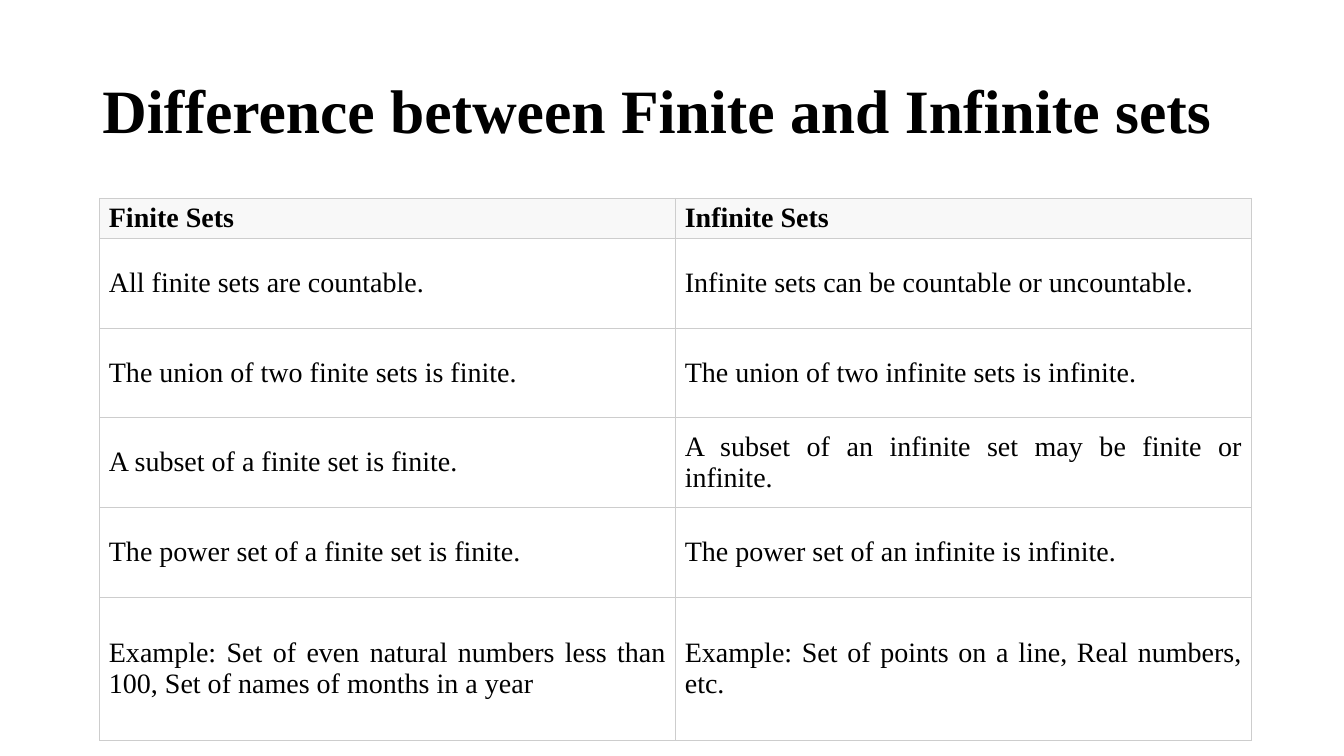
from lxml.etree import SubElement
from pptx import Presentation
from pptx.dml.color import RGBColor
from pptx.enum.text import MSO_ANCHOR as Anchor, MSO_AUTO_SIZE as AutoSize, PP_ALIGN as Align
from pptx.oxml.ns import qn
from pptx.util import Pt

COLORS = {"text": "000000", "page": "FFFFFF", "header": "F8F8F8", "border": "CDCDCD"}
FONT = "Times New Roman"
TITLE = "Difference between Finite and Infinite sets"

# Header first, then one comparison per row
COMPARISON = [
    ("Finite Sets", "Infinite Sets"),
    ("All finite sets are countable.", "Infinite sets can be countable or uncountable."),
    ("The union of two finite sets is finite.", "The union of two infinite sets is infinite."),
    ("A subset of a finite set is finite.",
     "A subset of an infinite set may be finite or infinite."),
    ("The power set of a finite set is finite.", "The power set of an infinite is infinite."),
    ("Example: Set of even natural numbers less than 100, Set of names of months in a year",
     "Example: Set of points on a line, Real numbers, etc."),
]
ROW_HEIGHTS = [28.4] + [64] * 4 + [102.3]
COLUMN_WIDTH = 411.4


def color(name):
    return RGBColor.from_string(COLORS[name])


def write(frame, text, size=20, bold=False, align=Align.LEFT, spacing=1.0):
    para = frame.paragraphs[0]
    para.alignment = align
    para.line_spacing = spacing
    span = para.add_run()
    span.text = text
    span.font.name = FONT
    span.font.size = Pt(size)
    span.font.bold = bold
    span.font.color.rgb = color("text")


def add_borders(cell, width=0.5):
    properties = cell._tc.get_or_add_tcPr()
    for position, side in enumerate(("lnL", "lnR", "lnT", "lnB")):
        line = SubElement(properties, qn(f"a:{side}"), w=str(Pt(width)))
        properties.insert(position, line)  # borders come before the fill
        fill = SubElement(line, qn("a:solidFill"))
        SubElement(fill, qn("a:srgbClr"), val=COLORS["border"])


def add_title(page, text):
    title = page.shapes.title
    title.left, title.top, title.width, title.height = Pt(66), Pt(28.75), Pt(828), Pt(104.4)
    frame = title.text_frame
    frame.word_wrap = True
    frame.auto_size = AutoSize.NONE
    frame.vertical_anchor = Anchor.MIDDLE
    write(frame, text, size=44, bold=True, spacing=0.9)


def fill_cell(cell, text, header):
    cell.margin_left = cell.margin_right = Pt(6.7)
    cell.margin_top = cell.margin_bottom = Pt(3.3)
    cell.vertical_anchor = Anchor.MIDDLE
    if header:
        cell.fill.solid()
        cell.fill.fore_color.rgb = color("header")
    else:
        cell.fill.background()
    add_borders(cell)
    write(cell.text_frame, text, bold=header, align=Align.JUSTIFY)


def add_comparison(page, rows):
    columns = len(rows[0])
    box = page.shapes.add_table(len(rows), columns, Pt(71.1), Pt(141.6),
                                Pt(columns * COLUMN_WIDTH), Pt(sum(ROW_HEIGHTS)))
    table = box.table
    table.horz_banding = False
    for column in table.columns:
        column.width = Pt(COLUMN_WIDTH)
    for index, (texts, height) in enumerate(zip(rows, ROW_HEIGHTS)):
        table.rows[index].height = Pt(height)
        for place, text in enumerate(texts):
            fill_cell(table.cell(index, place), text, header=index == 0)


def main():
    deck = Presentation()
    deck.slide_width, deck.slide_height = Pt(960), Pt(540)
    page = deck.slides.add_slide(deck.slide_layouts[5])  # title only
    page.background.fill.solid()
    page.background.fill.fore_color.rgb = color("page")
    add_title(page, TITLE)
    add_comparison(page, COMPARISON)
    deck.save("out.pptx")


main()
